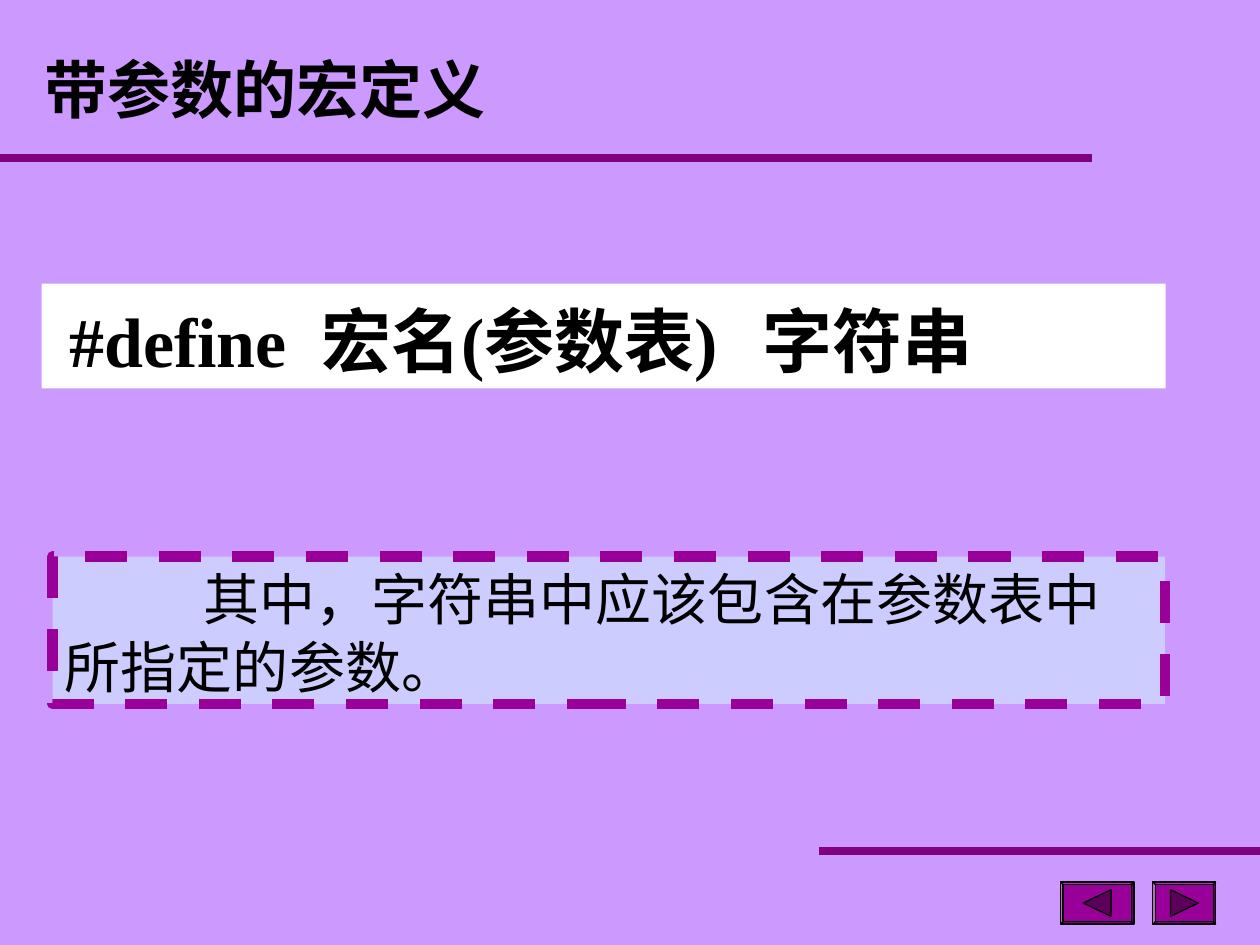
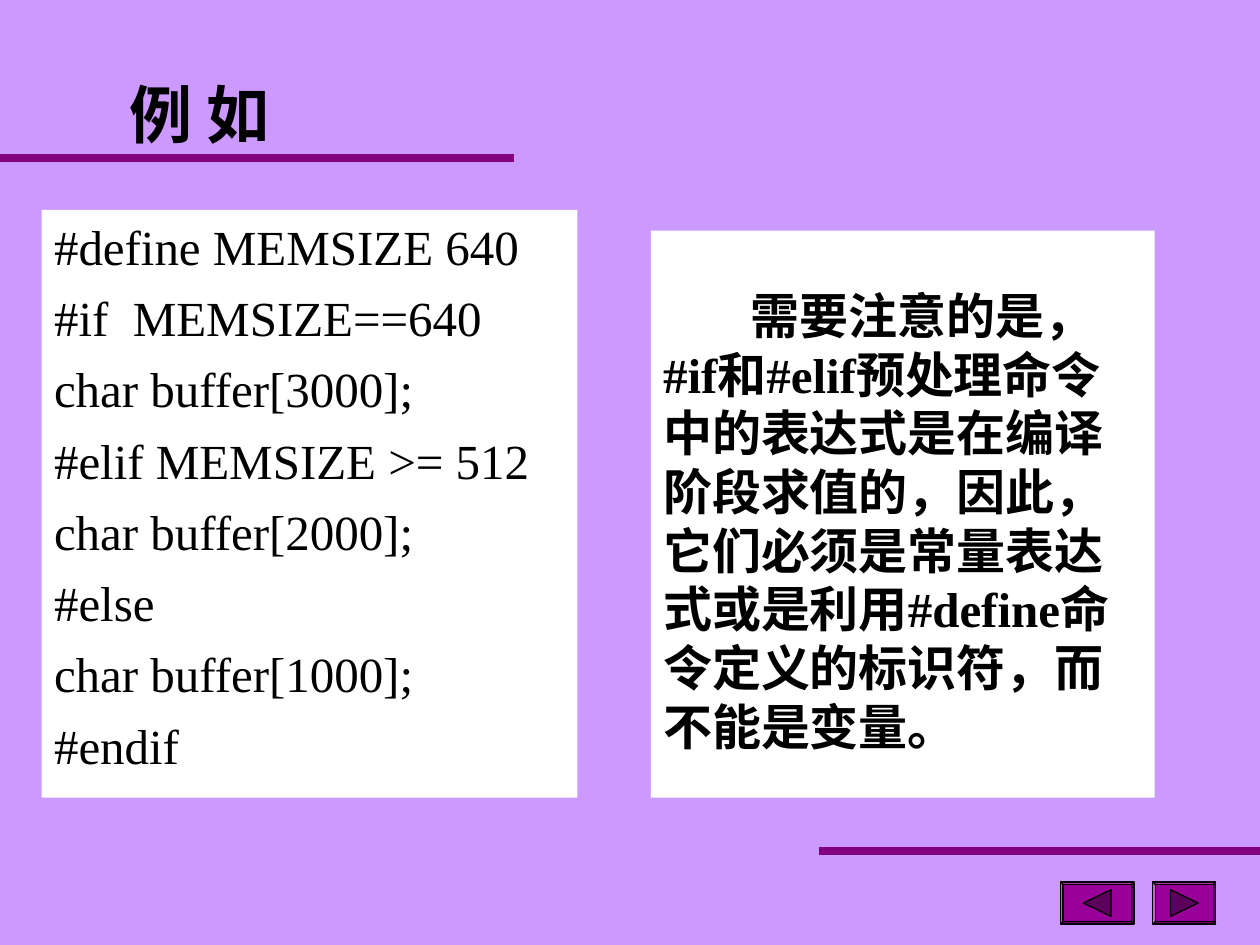
from lxml import etree
from pptx import Presentation, util as u
from pptx.dml.color import RGBColor
from pptx.enum import dml, shapes, text
from pptx.oxml.ns import qn

# Content
SLIDES = [
    {
        "title": "带参数的宏定义",
        "title_box": (0.64, 0.84, 11, 1.9),
        "rule_end": 22.02,
        "body": ["#define\t宏名(参数表)\t字符串"],
        "body_box": (0.84, 5.72, 22.66, 2.11),
        "body_format": dict(size=40, bold=True, line=52, tabs=(6.43, 17.2), left=0.56),
        "note": "其中，字符串中应该包含在参数表中所指定的参数。",
        "note_box": (1.06, 11.22, 22.43, 2.97),
        "note_fill": "CCCCFF",
        "note_border": "990099",
        "note_format": dict(size=32, line=39, indent=2.8),
    },
    {
        "title": "例 如",
        "title_box": (2.36, 1.4, 3.33, 1.78),
        "rule_end": 10.37,
        "body": [
            "#define MEMSIZE 640",
            "#if  MEMSIZE==640",
            "char buffer[3000];",
            "#elif MEMSIZE >= 512",
            "char buffer[2000];",
            "#else",
            "char buffer[1000];",
            "#endif",
        ],
        "body_box": (0.84, 4.23, 10.8, 11.85),
        "body_format": dict(size=28, line=33.7, before=7),
        "note": "需要注意的是，#if和#elif预处理命令中的表达式是在编译阶段求值的，因此，"
                "它们必须是常量表达式或是利用#define命令定义的标识符，而不能是变量。",
        "note_box": (13.12, 4.65, 10.16, 11.43),
        "note_fill": "FFFFFF",
        "note_border": None,
        "note_format": dict(size=28, bold=True, line=33.5, indent=1.77, top=0.38,
                            anchor=text.MSO_ANCHOR.MIDDLE),
    },
]

# Shared look
LATIN, CHINESE = "Times New Roman", "Noto Sans CJK SC"
BACKGROUND, RULE, BUTTON, ARROW = "CC99FF", "800080", "990099", "5C005C"
BLACK, WHITE = "000000", "FFFFFF"
SLIDE_WIDTH, SLIDE_HEIGHT = 25.4, 19.05
TITLE_RULE_Y, FOOTER_RULE_Y, FOOTER_RULE_X = 3.18, 17.15, 16.51
BUTTON_TOP, BUTTON_HEIGHT = 17.78, 0.85
BUTTONS = [(21.38, 1.48, -1), (23.24, 1.27, 1)]  # left, width, pointing direction


def color(hex_string):
    return RGBColor.from_string(hex_string)


def paint(shape, fill, border=None, width=0.75):
    shape.fill.solid()
    shape.fill.fore_color.rgb = color(fill)
    if border:
        shape.line.color.rgb = color(border)
        shape.line.width = u.Pt(width)
    else:
        shape.line.fill.background()


def place(shape, box):
    shape.left, shape.top, shape.width, shape.height = map(u.Cm, box)


def write(shape, content, size, bold=False, line=None, before=0, indent=0, tabs=(),
          left=0.25, top=0.13, anchor=text.MSO_ANCHOR.TOP, wrap=True):
    frame = shape.text_frame
    frame.word_wrap = wrap
    frame.auto_size = text.MSO_AUTO_SIZE.NONE
    frame.vertical_anchor = anchor
    frame.margin_left, frame.margin_right = u.Cm(left), u.Cm(0.25)
    frame.margin_top, frame.margin_bottom = u.Cm(top), u.Cm(0.13)
    for number, wording in enumerate(content):
        paragraph = frame.add_paragraph() if number else frame.paragraphs[0]
        paragraph.alignment = text.PP_ALIGN.LEFT
        paragraph.space_before = u.Pt(before if number else 0)
        paragraph.space_after = u.Pt(0)
        if line:
            paragraph.line_spacing = u.Pt(line)
        properties = paragraph._p.get_or_add_pPr()
        properties.set("marL", "0")
        properties.set("indent", str(u.Cm(indent)))
        etree.SubElement(properties, qn("a:buNone"))
        if tabs:
            tab_list = etree.SubElement(properties, qn("a:tabLst"))
            for position in tabs:
                etree.SubElement(tab_list, qn("a:tab"), pos=str(u.Cm(position)), algn="l")
        run = paragraph.add_run()
        run.text = wording
        run.font.size, run.font.bold = u.Pt(size), bold
        run.font.color.rgb = color(BLACK)
        run.font.name = LATIN
        etree.SubElement(run._r.get_or_add_rPr(), qn("a:ea"), typeface=CHINESE)


def add_rule(slide, start, end, y):
    rule = slide.shapes.add_connector(shapes.MSO_CONNECTOR.STRAIGHT,
                                      u.Cm(start), u.Cm(y), u.Cm(end), u.Cm(y))
    rule.line.color.rgb = color(RULE)
    rule.line.width = u.Pt(4.5)
    etree.SubElement(rule._element.spPr, qn("a:effectLst"))


def add_button(slide, left, width, direction):
    button = slide.shapes.add_shape(shapes.MSO_SHAPE.BEVEL, 0, 0, 0, 0)
    place(button, (left, BUTTON_TOP, width, BUTTON_HEIGHT))
    button.adjustments[0] = 0.06
    button.shadow.inherit = False
    paint(button, BUTTON, BLACK)
    # Arrow in the middle of the button
    x, y = left + width / 2, BUTTON_TOP + BUTTON_HEIGHT / 2
    reach, rise = 0.28 * direction, 0.27
    outline = slide.shapes.build_freeform(u.Cm(x + reach), u.Cm(y))
    outline.add_line_segments([(u.Cm(x - reach), u.Cm(y - rise)),
                               (u.Cm(x - reach), u.Cm(y + rise))], close=True)
    arrow = outline.convert_to_shape()
    arrow.shadow.inherit = False
    paint(arrow, ARROW, BLACK)


def add_slide(presentation, content):
    slide = presentation.slides.add_slide(presentation.slide_layouts[1])
    title, body = slide.placeholders

    # Title and rules
    place(title, content["title_box"])
    write(title, [content["title"]], size=36, bold=True, wrap=False,
          anchor=text.MSO_ANCHOR.MIDDLE)
    add_rule(slide, 0, content["rule_end"], TITLE_RULE_Y)
    add_rule(slide, FOOTER_RULE_X, SLIDE_WIDTH, FOOTER_RULE_Y)

    # Code panel
    place(body, content["body_box"])
    paint(body, WHITE)
    write(body, content["body"], **content["body_format"])

    # Explanation panel
    note = slide.shapes.add_shape(shapes.MSO_SHAPE.RECTANGLE, 0, 0, 0, 0)
    place(note, content["note_box"])
    note.shadow.inherit = False
    paint(note, content["note_fill"], content["note_border"], 6)
    if content["note_border"]:
        note.line.dash_style = dml.MSO_LINE.DASH
    write(note, [content["note"]], **content["note_format"])

    # Navigation buttons
    for button in BUTTONS:
        add_button(slide, *button)


def main():
    presentation = Presentation()
    presentation.slide_width = u.Cm(SLIDE_WIDTH)
    presentation.slide_height = u.Cm(SLIDE_HEIGHT)
    background = presentation.slide_master.background.fill
    background.solid()
    background.fore_color.rgb = color(BACKGROUND)
    for content in SLIDES:
        add_slide(presentation, content)
    presentation.save("out.pptx")


if __name__ == "__main__":
    main()
